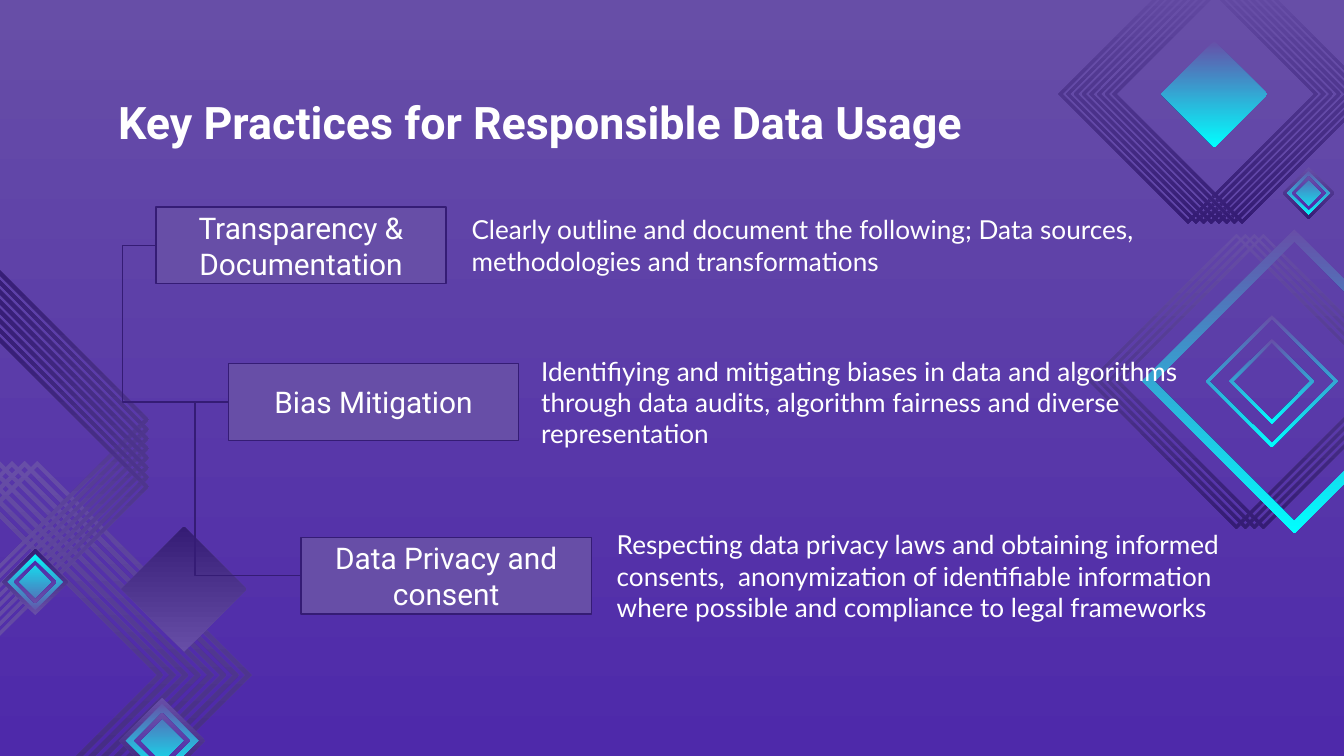
from dataclasses import dataclass

from lxml.etree import SubElement
from pptx import Presentation
from pptx.dml.color import RGBColor as Rgb
from pptx.enum.shapes import MSO_CONNECTOR as Link, MSO_SHAPE as Preset
from pptx.enum.text import MSO_ANCHOR as Anchor, PP_ALIGN as Align
from pptx.oxml.ns import qn
from pptx.util import Pt

DOWN, UP = 270, 90
LEFT_SIDE = 1


@dataclass(frozen=True)
class Theme:
    deep: str = "4E29AA"
    violet: str = "674EA7"
    indigo: str = "351C75"
    cyan: str = "00FFFF"
    white: str = "FFFFFF"
    heading_font: str = "Roboto"
    body_font: str = "Lato"
    title_size: float = 24
    label_size: float = 16
    body_size: float = 14
    line_width: float = 0.75
    inset: float = 7.2


THEME = Theme()
SHADE = (THEME.violet, THEME.indigo)
GLOW = (THEME.violet, THEME.cyan)
BACKDROP = (THEME.deep, THEME.violet)


@dataclass(frozen=True)
class Diamond:
    x: float
    y: float
    radius: float
    colours: tuple
    angle: int = DOWN
    band: float = 0


@dataclass(frozen=True)
class Echo:
    first: Diamond
    count: int
    step_x: float = 0
    step_y: float = 0


@dataclass(frozen=True)
class Badge:
    x: float
    y: float
    radius: float
    angle: int = DOWN


@dataclass(frozen=True)
class Practice:
    left: float
    top: float
    label: str
    detail_left: float
    detail_width: float
    detail: str


BOX_WIDTH, BOX_HEIGHT = 155.5, 41

DECOR = (
    Diamond(650.5, 50.4, 28.5, GLOW),
    Echo(Diamond(636.5, 50.4, 69.5, SHADE, band=2), 8, step_x=4.14),
    Badge(701.1, 103.5, 14),
    Echo(Diamond(662.4, 204.3, 79.1, SHADE, band=2), 4, step_x=4.8),
    Diamond(693.4, 204.3, 81.4, GLOW, band=6.5),
    Diamond(681.4, 204.3, 35.4, GLOW, band=2),
    Diamond(681.4, 204.3, 22.7, GLOW, band=2),
    Echo(Diamond(-27.4, 361.7, 114.8, SHADE, band=3.2), 8, step_x=6.77),
    Badge(86.9, 396.8, 23),
    Echo(Diamond(-7.7, 224.8, 87.5, SHADE, UP, band=2.5), 8, step_y=5.14),
    Badge(18.9, 311.8, 17.7, UP),
    Diamond(98.6, 315.7, 33.5, SHADE, UP),
)

PRACTICES = (
    Practice(83.5, 110.9, "Transparency & Documentation", 245.5, 426.2,
             "Clearly outline and document the following; Data sources, "
             "methodologies and transformations"),
    Practice(122.4, 194.9, "Bias Mitigation", 282.8, 389.5,
             "Identifiying and mitigating biases in data and algorithms through "
             "data audits, algorithm fairness and diverse representation"),
    Practice(161.3, 288, "Data Privacy and consent", 323.3, 365.8,
             "Respecting data privacy laws and obtaining informed consents,  "
             "anonymization of identifiable information where possible and "
             "compliance to legal frameworks"),
)


def apply(target, values: dict) -> None:
    for name, value in values.items():
        setattr(target, name, value)


def paint_gradient(fill, colours: tuple, angle: int) -> None:
    fill.gradient()
    fill.gradient_angle = angle
    for stop, colour, position in zip(fill.gradient_stops, colours, (0, 1)):
        stop.color.rgb = Rgb.from_string(colour)
        stop.position = position


def corners(diamond: Diamond, radius: float, turn: int) -> list:
    steps = ((0, -1), (turn, 0), (0, 1), (-turn, 0))
    return [(Pt(diamond.x + dx * radius), Pt(diamond.y + dy * radius))
            for dx, dy in steps]


def draw_diamond(page, diamond: Diamond) -> None:
    outer = corners(diamond, diamond.radius, 1)
    builder = page.shapes.build_freeform(*outer[0])
    builder.add_line_segments(outer[1:], close=True)
    if diamond.band:
        inner = corners(diamond, diamond.radius - diamond.band, -1)
        builder.move_to(*inner[0])
        builder.add_line_segments(inner[1:], close=True)
    shape = builder.convert_to_shape()
    shape.shadow.inherit = False
    shape.line.fill.background()
    paint_gradient(shape.fill, diamond.colours, diamond.angle)


def draw_echo(page, echo: Echo) -> None:
    first = echo.first
    for index in range(echo.count):
        draw_diamond(page, Diamond(first.x + index * echo.step_x,
                                   first.y + index * echo.step_y,
                                   first.radius, first.colours, first.angle, first.band))


def draw_badge(page, badge: Badge) -> None:
    band = badge.radius * 0.13
    opposite = UP if badge.angle == DOWN else DOWN
    for scale, colours, angle, width in ((0.94, GLOW, badge.angle, 0),
                                         (1, SHADE, badge.angle, band),
                                         (0.65, BACKDROP, opposite, band)):
        draw_diamond(page, Diamond(badge.x, badge.y, badge.radius * scale,
                                   colours, angle, width))


def write(box, text: str, font: str, size: float, align=Align.LEFT, bold=False) -> None:
    frame = box.text_frame
    margins = dict.fromkeys(("margin_left", "margin_top", "margin_right", "margin_bottom"),
                            Pt(THEME.inset))
    apply(frame, {"word_wrap": True, "vertical_anchor": Anchor.MIDDLE, **margins})
    para = frame.paragraphs[0]
    para.alignment = align
    span = para.add_run()
    span.text = text
    apply(span.font, {"name": font, "size": Pt(size), "bold": bold})
    span.font.color.rgb = Rgb.from_string(THEME.white)


def style_line(line) -> None:
    line.color.rgb = Rgb.from_string(THEME.indigo)
    line.width = Pt(THEME.line_width)


def draw_practice(page, practice: Practice):
    box = page.shapes.add_shape(Preset.RECTANGLE, Pt(practice.left), Pt(practice.top),
                                Pt(BOX_WIDTH), Pt(BOX_HEIGHT))
    box.shadow.inherit = False
    box.fill.solid()
    box.fill.fore_color.rgb = Rgb.from_string(THEME.violet)
    style_line(box.line)
    write(box, practice.label, THEME.heading_font, THEME.label_size, Align.CENTER)
    detail = page.shapes.add_textbox(Pt(practice.detail_left), Pt(practice.top),
                                     Pt(practice.detail_width), Pt(BOX_HEIGHT))
    write(detail, practice.detail, THEME.body_font, THEME.body_size)
    return box


def link_boxes(page, upper, lower) -> None:
    link = page.shapes.add_connector(Link.ELBOW, upper.left, upper.top, lower.left, lower.top)
    link.begin_connect(upper, LEFT_SIDE)
    link.end_connect(lower, LEFT_SIDE)
    style_line(link.line)
    properties = link._element.spPr
    guides = properties.find(qn("a:prstGeom")).get_or_add_avLst()
    SubElement(guides, qn("a:gd"), name="adj1", fmla="val -46300")
    SubElement(properties, qn("a:effectLst"))


def main() -> None:
    deck = Presentation()
    apply(deck, {"slide_width": Pt(720), "slide_height": Pt(405)})
    page = deck.slides.add_slide(deck.slide_layouts[6])
    paint_gradient(page.background.fill, BACKDROP, UP)
    painters = {Diamond: draw_diamond, Echo: draw_echo, Badge: draw_badge}
    for item in DECOR:
        painters[type(item)](page, item)
    title = page.shapes.add_textbox(Pt(56.2), Pt(42.5), Pt(607.7), Pt(45.4))
    write(title, "Key Practices for Responsible Data Usage", THEME.heading_font,
          THEME.title_size, bold=True)
    boxes = [draw_practice(page, practice) for practice in PRACTICES]
    for upper, lower in zip(boxes, boxes[1:]):
        link_boxes(page, upper, lower)
    deck.save("out.pptx")


if __name__ == "__main__":
    main()
